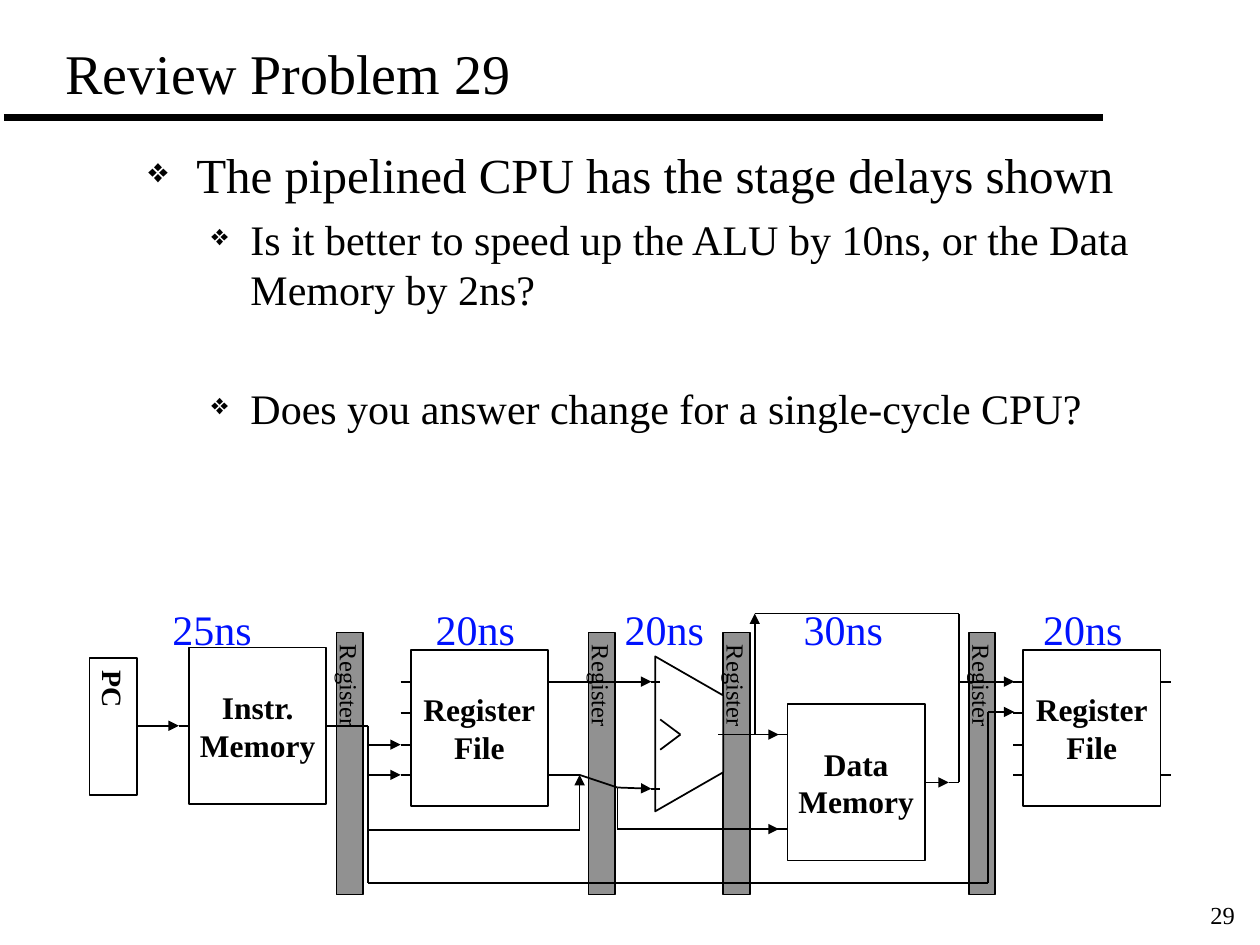
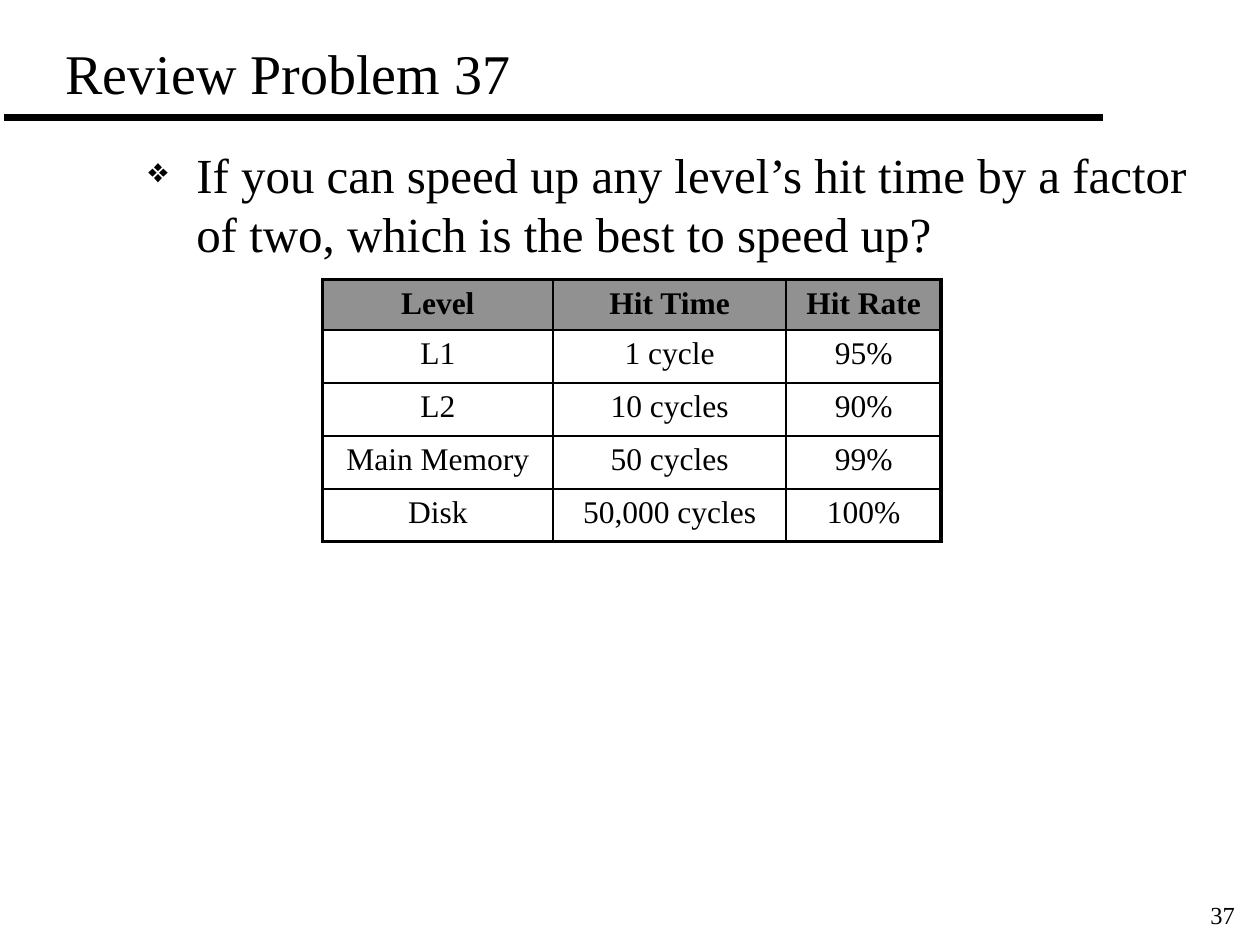
from itertools import pairwise

from lxml.etree import SubElement
from pptx import Presentation
from pptx.dml.color import RGBColor
from pptx.enum.shapes import MSO_CONNECTOR, MSO_SHAPE
from pptx.enum.text import MSO_ANCHOR, MSO_AUTO_SIZE, PP_ALIGN
from pptx.oxml.ns import qn
from pptx.util import Inches, Pt

BLACK = RGBColor(0x00, 0x00, 0x00)
WHITE = RGBColor(0xFF, 0xFF, 0xFF)
GRAY = RGBColor(0x91, 0x91, 0x91)
BLUE = RGBColor(0x00, 0x12, 0xFE)
FONT = "Times New Roman"

# Slide text: bullets are (level, space before in points, text)
PIPELINE = {
    "number": 29,
    "bullets": [
        (0, 0, "The pipelined CPU has the stage delays shown"),
        (1, 5.5, "Is it better to speed up the ALU by 10ns, or the Data Memory by 2ns?"),
        (1, 39, "Does you answer change for a single-cycle CPU?"),
    ],
}
CACHE = {
    "number": 37,
    "bullets": [(0, 0, "If you can speed up any level’s hit time by a factor of two, "
                       "which is the best to speed up?")],
}
LEVELS = [  # bullet level: font size, left margin, hanging indent
    (28, 0.38, 0.38),
    (24, 0.81, 0.31),
]
HIT_TABLE = [
    ("Level", "Hit Time", "Hit Rate"),
    ("L1", "1 cycle", "95%"),
    ("L2", "10 cycles", "90%"),
    ("Main Memory", "50 cycles", "99%"),
    ("Disk", "50,000 cycles", "100%"),
]
COLUMN_WIDTHS = (1.83, 1.85, 1.23)
HEADER_HEIGHT, ROW_HEIGHT = 0.4, 0.42

# Datapath, in inches
DELAYS = [("25ns", 1.27), ("20ns", 3.36), ("20ns", 4.86), ("30ns", 6.28), ("20ns", 8.18)]
PIPELINE_REGISTERS = (2.67, 4.67, 5.74, 7.69)
BLOCK_W, BLOCK_H, STUB = 1.09, 1.24, 0.08
REGISTER_PORTS = ((5.41, 5.66, 5.91, 6.15), (5.41, 6.15))
BLOCKS = [  # lines, left, top, (input rows, output rows)
    (("Instr.", "Memory"), 1.5, 5.14, ((5.76,), (5.76,))),
    (("Register", "File"), 3.26, 5.16, REGISTER_PORTS),
    (("Data", "Memory"), 6.25, 5.59, ((5.83, 6.58), (6.21,))),
    (("Register", "File"), 8.12, 5.16, REGISTER_PORTS),
]
ALU = [(5.2, 5.21), (5.74, 5.52), (5.74, 6.13), (5.2, 6.44)]
PLAIN_WIRES = [
    [(5.24, 5.71), (5.4, 5.83), (5.24, 5.95)],
    [(5.17, 5.41), (5.24, 5.41)],
    [(5.17, 6.26), (5.24, 6.26)],
    [(5.7, 5.83), (5.78, 5.83)],
    [(1.09, 5.76), (1.16, 5.76)],
    [(5.99, 4.87), (7.61, 4.87), (7.61, 6.21), (7.53, 6.21)],
]
ARROW_WIRES = [
    [(1.16, 5.76), (1.42, 5.76)],
    [(2.66, 5.76), (2.92, 5.76), (2.92, 7.01), (7.84, 7.01), (7.84, 5.65), (8.05, 5.65)],
    [(2.92, 5.91), (3.18, 5.91)],
    [(2.92, 6.15), (3.18, 6.15)],
    [(2.92, 6.59), (4.6, 6.59), (4.6, 6.15)],
    [(4.42, 5.41), (5.17, 5.41)],
    [(4.42, 6.15), (4.6, 6.15), (4.9, 6.25), (5.17, 6.26)],
    [(4.9, 6.25), (4.9, 6.58), (6.18, 6.58)],
    [(5.78, 5.83), (6.18, 5.83)],
    [(5.99, 5.83), (5.99, 4.87)],
    [(7.42, 6.21), (7.53, 6.21)],
    [(7.61, 5.41), (8.05, 5.41)],
]


def box(*lengths):
    return [Inches(v) for v in lengths]


def add_run(p, text, size, color=BLACK, bold=False):
    r = p.add_run()
    r.text = text
    for name, value in {"name": FONT, "size": Pt(size), "bold": bold}.items():
        setattr(r.font, name, value)
    r.font.color.rgb = color


def add_text(s, text, at, size, color=BLACK, align=PP_ALIGN.LEFT):
    tf = s.shapes.add_textbox(*box(*at)).text_frame
    tf.word_wrap = False
    tf.paragraphs[0].alignment = align
    add_run(tf.paragraphs[0], text, size, color)


def style_shape(sp, fill):
    sp.shadow.inherit = False
    sp.fill.solid()
    sp.fill.fore_color.rgb = fill
    sp.line.color.rgb = BLACK
    sp.line.width = Pt(1)


def add_block(s, lines, at, size, fill=WHITE, bold=True, vertical=False):
    sp = s.shapes.add_shape(MSO_SHAPE.RECTANGLE, *box(*at))
    style_shape(sp, fill)
    tf = sp.text_frame
    tf.word_wrap = False
    tf.vertical_anchor = MSO_ANCHOR.MIDDLE
    if vertical:
        sp.element.txBody.bodyPr.set("vert", "eaVert")
    for i, line in enumerate(lines):
        p = tf.add_paragraph() if i else tf.paragraphs[0]
        p.alignment = PP_ALIGN.CENTER
        add_run(p, line, size, bold=bold)


def add_line(s, start, end, width=1, arrow=False):
    line = s.shapes.add_connector(MSO_CONNECTOR.STRAIGHT, *box(*start, *end))
    line.line.color.rgb = BLACK
    line.line.width = Pt(width)
    if arrow:
        SubElement(line.line._get_or_add_ln(), qn("a:tailEnd"), type="triangle")
    SubElement(line.element.spPr, qn("a:effectLst"))


def add_wire(s, points, arrow=False):
    segments = list(pairwise(points))
    for i, (start, end) in enumerate(segments, 1):
        add_line(s, start, end, arrow=arrow and i == len(segments))


def add_bullets(s, bullets):
    tf = s.shapes.add_textbox(*box(1.08, 1.1, 8.5, 5.82)).text_frame
    tf.word_wrap = True
    for i, (level, before, text) in enumerate(bullets):
        p = tf.add_paragraph() if i else tf.paragraphs[0]
        size, margin, hang = LEVELS[level]
        pPr = p._p.get_or_add_pPr()
        pPr.set("marL", str(Inches(margin)))
        pPr.set("indent", str(-Inches(hang)))
        color = SubElement(pPr, qn("a:buClr"))
        SubElement(color, qn("a:srgbClr"), val=str(BLACK))
        SubElement(pPr, qn("a:buSzPct"), val="70000")
        SubElement(pPr, qn("a:buChar"), char="❖")
        p.level = level
        p.space_before = Pt(before)
        add_run(p, text, size)


def add_problem_slide(prs, problem):
    """Title, rule, page number and bullets of every slide."""
    s = prs.slides.add_slide(prs.slide_layouts[5])
    title = s.shapes.title
    title.left, title.top, title.width, title.height = box(0.42, 0.33, 8.46, 0.56)
    tf = title.text_frame
    frame = {"auto_size": MSO_AUTO_SIZE.NONE, "word_wrap": True,
             "vertical_anchor": MSO_ANCHOR.BOTTOM}
    for name, value in frame.items():
        setattr(tf, name, value)
    tf.paragraphs[0].alignment = PP_ALIGN.LEFT
    add_run(tf.paragraphs[0], f"Review Problem {problem['number']}", 32)
    add_line(s, (0.03, 0.93), (8.75, 0.93), width=4)
    add_text(s, str(problem["number"]), (9.48, 7.09, 0.42, 0.33), 14, align=PP_ALIGN.RIGHT)
    add_bullets(s, problem["bullets"])
    return s


def add_datapath(s):
    # Pipeline registers, ALU and program counter
    for left in PIPELINE_REGISTERS:
        add_block(s, ["Register"], (left, 5.02, 0.21, 2.08), 14, GRAY, bold=False, vertical=True)
    first, *rest = [box(*point) for point in ALU]
    outline = s.shapes.build_freeform(*first)
    outline.add_line_segments(rest, close=True)
    style_shape(outline.convert_to_shape(), WHITE)
    add_block(s, ["PC"], (0.71, 5.22, 0.38, 1.09), 16, vertical=True)

    # Blocks with a short stub at each port
    for lines, left, top, (inputs, outputs) in BLOCKS:
        add_block(s, lines, (left, top, BLOCK_W, BLOCK_H), 18)
        right = left + BLOCK_W
        for y in inputs:
            add_line(s, (left - STUB, y), (left, y))
        for y in outputs:
            add_line(s, (right, y), (right + STUB, y))

    # Wires and stage delays
    for points in PLAIN_WIRES:
        add_wire(s, points)
    for points in ARROW_WIRES:
        add_wire(s, points, arrow=True)
    for delay, left in DELAYS:
        add_text(s, delay, (left, 4.74, 0.83, 0.5), 24, BLUE)


def set_borders(cell, widths):
    tcPr = cell._tc.get_or_add_tcPr()
    for i, (side, width) in enumerate(zip("LRTB", widths)):
        ln = SubElement(tcPr, qn(f"a:ln{side}"), w=str(Pt(width)))
        fill = SubElement(ln, qn("a:solidFill"))
        SubElement(fill, qn("a:srgbClr"), val=str(BLACK))
        tcPr.insert(i, ln)


def add_hit_table(s):
    rows, cols = len(HIT_TABLE), len(COLUMN_WIDTHS)
    heights = [HEADER_HEIGHT] + [ROW_HEIGHT] * (rows - 1)
    table = s.shapes.add_table(
        rows, cols, *box(2.56, 2.22, sum(COLUMN_WIDTHS), sum(heights))).table
    table.first_row = table.horz_banding = False
    for column, width in zip(table.columns, COLUMN_WIDTHS):
        column.width = Inches(width)
    for r, values in enumerate(HIT_TABLE):
        table.rows[r].height = Inches(heights[r])
        for c, value in enumerate(values):
            cell = table.cell(r, c)
            cell.fill.solid()
            cell.fill.fore_color.rgb = WHITE if r else GRAY
            outer = (c == 0, c == cols - 1, r == 0, r == rows - 1)
            set_borders(cell, [2.25 if edge else 1 for edge in outer])
            p = cell.text_frame.paragraphs[0]
            p.alignment = PP_ALIGN.CENTER
            add_run(p, value, 18, bold=r == 0)


def main():
    prs = Presentation()
    prs.slide_width, prs.slide_height = box(10, 7.5)
    add_datapath(add_problem_slide(prs, PIPELINE))
    add_hit_table(add_problem_slide(prs, CACHE))
    prs.save("out.pptx")


if __name__ == "__main__":
    main()
